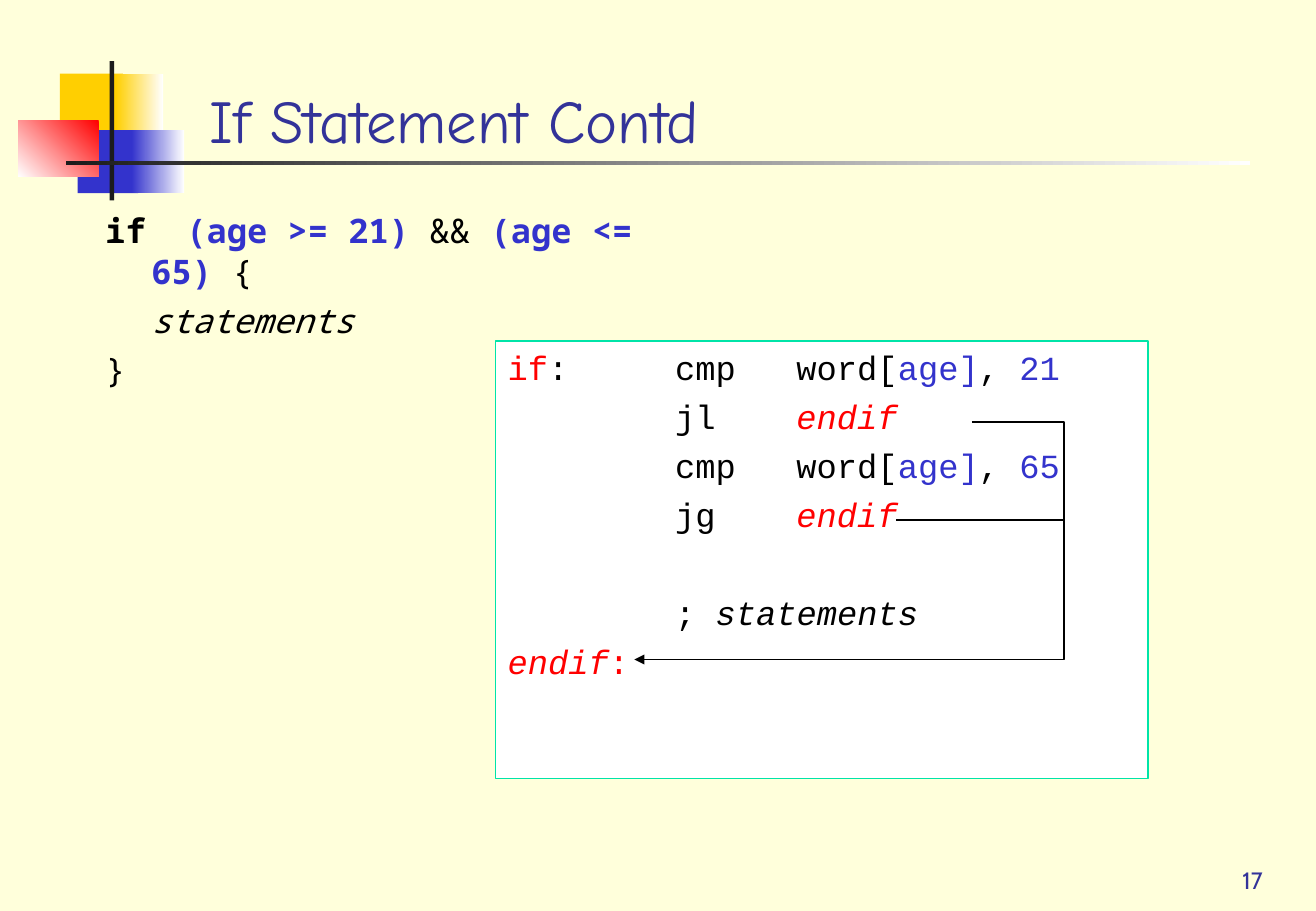
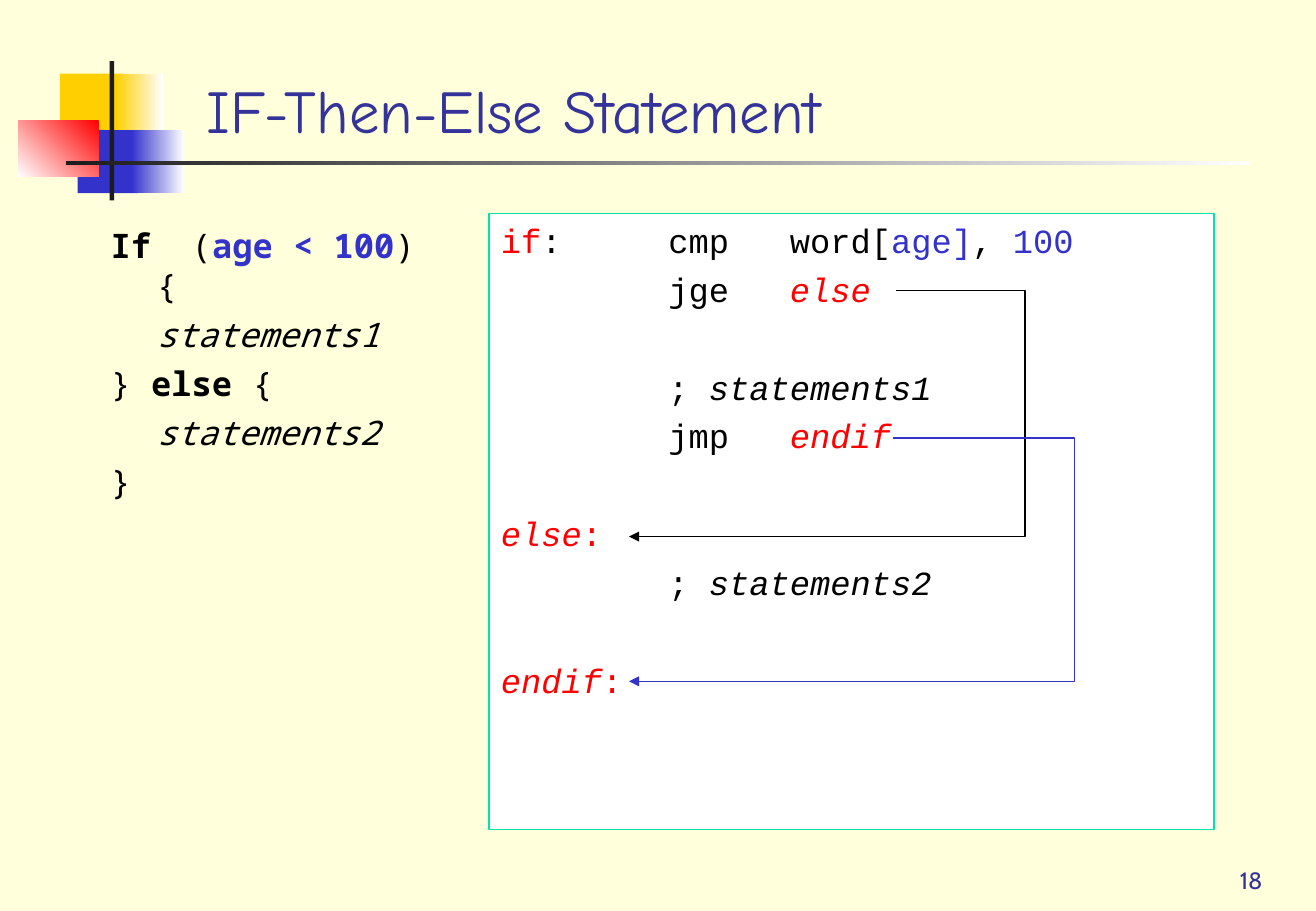
from lxml import etree
from pptx import Presentation
from pptx.dml.color import RGBColor
from pptx.enum.shapes import MSO_CONNECTOR, MSO_SHAPE
from pptx.enum.text import MSO_ANCHOR, PP_ALIGN
from pptx.oxml.ns import qn
from pptx.util import Inches, Pt

RECT = MSO_SHAPE.RECTANGLE
STRAIGHT = MSO_CONNECTOR.STRAIGHT
TOP, BOTTOM = MSO_ANCHOR.TOP, MSO_ANCHOR.BOTTOM
LEFT, RIGHT = PP_ALIGN.LEFT, PP_ALIGN.RIGHT

WIDTH, HEIGHT = Inches(10.84), Inches(7.5)
LINE, GAP = 24, 5
HANG, TAB = Inches(0.38), Inches(1)

COLORS = {
    "page": "FFFFDB", "title": "333399", "yellow": "FFCF01", "blue": "3333CC",
    "red": "FF0000", "dark": "1C1C1C", "white": "FFFFFF", "black": "000000",
    "frame": "00E4A8",
}
FONTS = {"title": "Comic Neue", "number": "Cabin",
         "source": "Noto Sans Mono", "assembly": "Courier New"}

PLAIN = ("black", False, False)
BOLD = ("black", True, False)
ITALIC = ("black", False, True)
BLUE = ("blue", False, False)
BLUE_BOLD = ("blue", True, False)
RED = ("red", False, False)
RED_ITALIC = ("red", False, True)

DECOR = [
    ((4.55, 8.1, 4.8, 6.9), "yellow", None),
    ((8.8, 8.1, 3.6, 6.9), "yellow", 0),
    ((5.9, 14.3, 4.6, 6.9), "blue", None),
    ((10, 14.3, 4, 6.9), "blue", 0),
    ((1.4, 13.2, 6.1, 6.2), "red", 225),
    ((8.34, 6.7, 0.35, 15.3), "dark", None),
    ((5, 17.67, 90, 0.45), "dark", 0),
]


def rgb(name):
    """Return a palette colour."""
    return RGBColor.from_string(COLORS[name])


def point(x, y):
    """Turn percentages of the slide into a position."""
    return round(WIDTH * x / 100), round(HEIGHT * y / 100)


def area(x, y, w, h):
    """Turn percentages of the slide into left, top, width and height."""
    return point(x, y) + point(w, h)


def add_block(s, box, color, fade=None):
    """Add a rectangle, solid or fading to white at an angle."""
    sp = s.shapes.add_shape(RECT, *area(*box))
    sp.shadow.inherit = False
    sp.line.fill.background()
    if fade is None:
        sp.fill.solid()
        sp.fill.fore_color.rgb = rgb(color)
    else:
        sp.fill.gradient()
        sp.fill.gradient_angle = fade
        for stop, name in zip(sp.fill.gradient_stops, (color, "white")):
            stop.color.rgb = rgb(name)
    return sp


def add_label(s, box, text, font, size, align=LEFT):
    """Add one line of text standing on the bottom of its box."""
    tf = s.shapes.add_textbox(*area(*box)).text_frame
    tf.word_wrap = True
    tf.vertical_anchor = BOTTOM
    p = tf.paragraphs[0]
    p.text = text
    p.alignment = align
    p.font.name = FONTS[font]
    p.font.size = Pt(size)
    p.font.color.rgb = rgb("title")


def set_code_layout(p):
    """Give a code line its spacing, hanging indent and tab width."""
    p.alignment = LEFT
    p.line_spacing = Pt(LINE)
    p.space_after = Pt(GAP)
    pPr = p._p.get_or_add_pPr()
    pPr.set("marL", str(HANG))
    pPr.set("indent", str(-HANG))
    pPr.set("defTabSz", str(TAB))


def fill_code(sp, lines, font):
    """Write code lines of styled runs; None leaves one line free."""
    tf = sp.text_frame
    tf.word_wrap = True
    tf.vertical_anchor = TOP
    p = None
    for line in lines:
        if line is None:
            p.space_after = Pt(LINE + 2 * GAP)
            continue
        p = tf.add_paragraph() if p else tf.paragraphs[0]
        set_code_layout(p)
        p.font.name = FONTS[font]
        p.font.size = Pt(20)
        for text, (color, bold, italic) in line:
            r = p.add_run()
            r.text = text
            r.font.color.rgb = rgb(color)
            r.font.bold = bold
            r.font.italic = italic


def add_source(s, box, lines):
    """Add the high-level code."""
    fill_code(s.shapes.add_textbox(*area(*box)), lines, "source")


def add_assembly(s, box, lines):
    """Add the framed assembly code."""
    sp = add_block(s, box, "white")
    sp.line.color.rgb = rgb("frame")
    sp.line.width = Pt(1)
    fill_code(sp, lines, "assembly")


def add_jump(s, start, bend_x, end, color="black"):
    """Add a bracket-shaped arrow from a jump to its label."""
    corners = [(bend_x, start[1]), (bend_x, end[1]), end]
    builder = s.shapes.build_freeform(*point(*start))
    builder.add_line_segments([point(*c) for c in corners], close=False)
    sp = builder.convert_to_shape()
    sp.shadow.inherit = False
    sp.fill.background()
    sp.line.color.rgb = rgb(color)
    sp.line.width = Pt(1)
    etree.SubElement(sp.line._get_or_add_ln(), qn("a:tailEnd"), type="triangle")


def add_line(s, start, end):
    """Add a thin black line."""
    line = s.shapes.add_connector(STRAIGHT, *point(*start), *point(*end))
    line.line.color.rgb = rgb("black")
    line.line.width = Pt(1)
    etree.SubElement(line._element.spPr, qn("a:effectLst"))


def compare(limit):
    """Return the runs that compare the age with a limit."""
    return [("cmp\tword[", PLAIN), ("age]", BLUE), (", ", PLAIN), (limit, BLUE)]


def first_compare(limit):
    """Return the labelled first line of a condition."""
    return [("if", RED), (": \t", PLAIN)] + compare(limit)


def jump(command, label):
    """Return a jump to a label."""
    return [(f"\t\t{command}\t", PLAIN), (label, RED_ITALIC)]


def target(label):
    """Return a line holding a label."""
    return [(label, RED_ITALIC), (":", RED)]


def remark(text):
    """Return an assembly comment line."""
    return [("\t\t; ", PLAIN), (text, ITALIC)]


def body(text):
    """Return an indented placeholder for statements."""
    return [("\t" + text, ITALIC)]


def add_page(prs, title, title_at, number):
    """Add a slide with the shared background, emblem, title and number."""
    s = prs.slides.add_slide(prs.slide_layouts[6])
    s.background.fill.solid()
    s.background.fill.fore_color.rgb = rgb("page")
    for box, color, fade in DECOR:
        add_block(s, box, color, fade)
    add_label(s, (*title_at, 85, 16.7), title, "title", 36)
    add_label(s, (76, 92.1, 20.85, 6.7), str(number), "number", 14, RIGHT)
    return s


def add_if_slide(prs):
    """Add the slide on a condition with two tests."""
    s = add_page(prs, "If Statement Contd", (15, 1), 17)
    add_assembly(s, (37.66, 37.45, 49.6, 48), [
        first_compare("21"),
        jump("jl", "endif"),
        [("\t\t", PLAIN)] + compare("65"),
        jump("jg", "endif"),
        None,
        remark("statements"),
        target("endif"),
    ])
    add_source(s, (7.1, 22.4, 44.5, 23.9), [
        [("if  ", BOLD), ("(age >= 21)", BLUE_BOLD), (" && ", PLAIN),
         ("(age <= 65)", BLUE_BOLD), (" {", PLAIN)],
        body("statements"),
        [("}", PLAIN)],
    ])
    add_jump(s, (73.85, 46.3), 80.87, (48.2, 72.4))
    add_line(s, (68.1, 57.05), (80.87, 57.05))


def add_else_slide(prs):
    """Add the slide on a condition with an alternative."""
    s = add_page(prs, "IF-Then-Else Statement", (14.8, 0), 18)
    add_source(s, (7.5, 24, 27.7, 44.9), [
        [("If", BOLD), ("  (", PLAIN), ("age < 100", BLUE_BOLD), (") {", PLAIN)],
        body("statements1"),
        [("} ", PLAIN), ("else", BOLD), (" {", PLAIN)],
        body("statements2"),
        [("}", PLAIN)],
    ])
    add_assembly(s, (37.15, 23.45, 55.1, 67.6), [
        first_compare("100"),
        jump("jge", "else"),
        None,
        remark("statements1"),
        jump("jmp", "endif"),
        None,
        target("else"),
        remark("statements2"),
        None,
        target("endif"),
    ])
    add_jump(s, (68.1, 31.9), 77.9, (47.8, 58.9))
    add_jump(s, (67.85, 48.1), 81.65, (47.8, 74.8), "blue")


def main():
    """Build and save the presentation."""
    prs = Presentation()
    prs.slide_width, prs.slide_height = WIDTH, HEIGHT
    add_if_slide(prs)
    add_else_slide(prs)
    prs.save("out.pptx")


if __name__ == "__main__":
    main()
